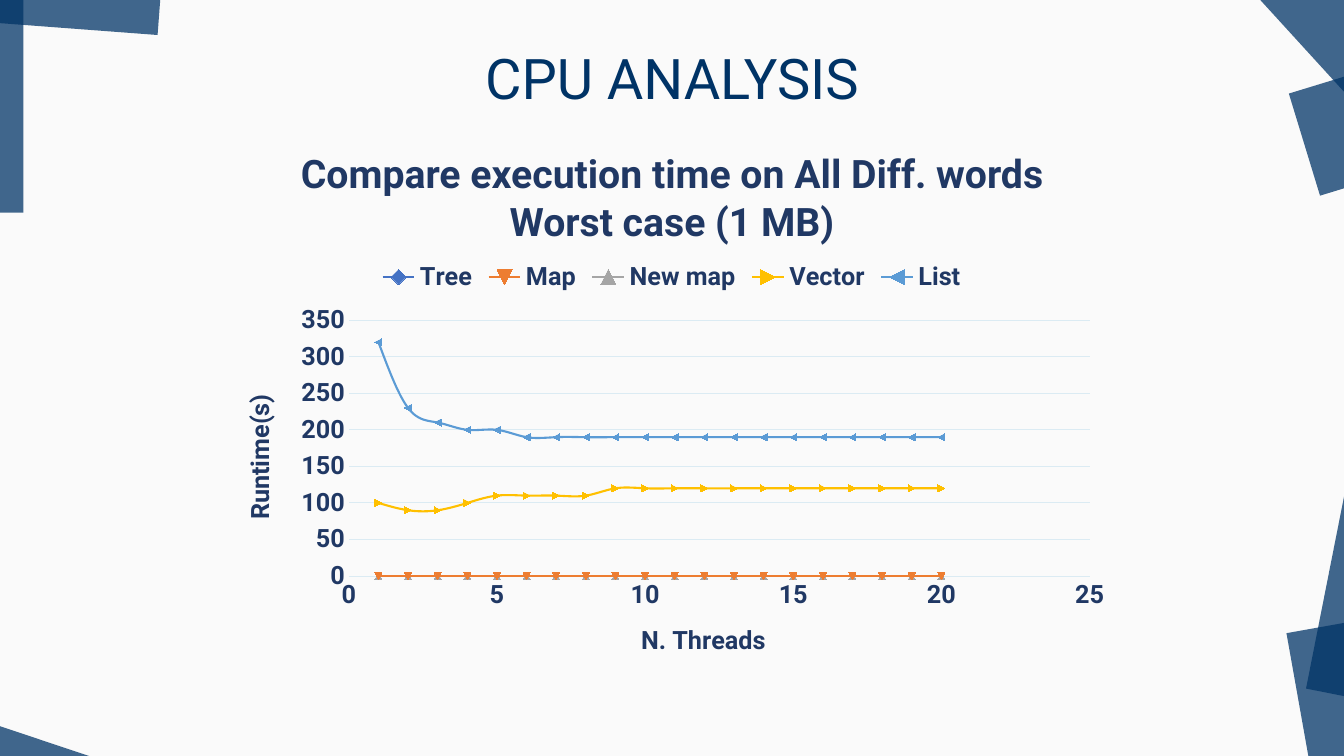
"""Build the CPU analysis slide with its runtime chart."""
from lxml.etree import SubElement
from pptx import Presentation
from pptx.chart.data import XyChartData
from pptx.dml.color import RGBColor
from pptx.enum.chart import XL_CHART_TYPE, XL_LEGEND_POSITION, XL_TICK_MARK
from pptx.enum.shapes import MSO_SHAPE
from pptx.enum.text import PP_ALIGN
from pptx.oxml.ns import qn
from pptx.util import Cm, Pt

COLOURS = {
    "paper": "FAFAFA", "navy": "003366", "ink": "203864", "grid": "DBEBF3",
    "Tree": "4472C4", "Map": "ED7D31", "New map": "A5A5A5",
    "Vector": "FFC000", "List": "5B9BD5",
}
THREADS = range(1, 21)
RUNTIMES = {
    "Tree": [(x, 0) for x in (1, 3, 7, 15, 31)],
    "Map": [(x, 0) for x in THREADS],
    "New map": [(x, 0) for x in THREADS],
    "Vector": list(zip(THREADS, [100, 90, 90, 100] + [110] * 4 + [120] * 12)),
    "List": list(zip(THREADS, [320, 230, 210, 200, 200] + [190] * 15)),
}
TILES = [
    (-1.98, -0.61, 2.57, 5.97, 0),
    (-0.61, -4.06, 3.56, 5.89, 274.3),
    (33.43, 12.07, 6.5, 5.97, 11.2),
    (32.87, 15.39, 5.94, 5.64, 349.9),
    (30.3, -2.82, 6.86, 4.01, 47.6),
    (32.74, 1.4, 6.15, 2.69, 343),
    (-1.37, 16.64, 2.57, 5.97, 288.5),
]
CHART_WIDTH, CHART_HEIGHT = 22.73, 10.82


def colour(name):
    """Return the named colour."""
    return RGBColor.from_string(COLOURS[name])


class SlideBuilder:
    """Hold the style and the current slide."""

    font_name = "Roboto"

    def __init__(self, page):
        """Start on a page and paint its background."""
        self.page = page
        page.background.fill.solid()
        page.background.fill.fore_color.rgb = colour("paper")

    def style(self, font, size, name, bold=False):
        """Apply the house font."""
        font.name = self.font_name
        font.size = Pt(size)
        font.bold = bold
        font.color.rgb = colour(name)

    def tile(self, left, top, width, height, rotation):
        """Add a translucent corner rectangle."""
        shape = self.page.shapes.add_shape(
            MSO_SHAPE.RECTANGLE, Cm(left), Cm(top), Cm(width), Cm(height))
        shape.rotation = rotation
        shape.shadow.inherit = False
        shape.line.fill.background()
        shape.fill.solid()
        shape.fill.fore_color.rgb = colour("navy")
        tint = shape.fill._xPr.find(qn("a:solidFill"))[0]
        SubElement(tint, qn("a:alpha"), val="74000")

    def heading(self, lines, top, height, size, name, bold=False):
        """Add a centred heading of one or more lines."""
        box = self.page.shapes.add_textbox(Cm(5.95), Cm(top), Cm(21.97), Cm(height))
        box.text_frame.word_wrap = True
        para = box.text_frame.paragraphs[0]
        para.alignment = PP_ALIGN.CENTER
        for number, line in enumerate(lines):
            if number:
                para.add_line_break()
            span = para.add_run()
            span.text = line
            self.style(span.font, size, name, bold)

    def place(self, element, left, top, width=None, height=None):
        """Fix a chart part at centimetres from the chart's corner."""
        for old in element.findall(qn("c:layout")):
            element.remove(old)
        layout = SubElement(element, qn("c:layout"))
        text = element.find(qn("c:tx"))
        element.insert(0 if text is None else 1, layout)
        manual = SubElement(layout, qn("c:manualLayout"))
        values = {"xMode": "edge", "yMode": "edge",
                  "x": left / CHART_WIDTH, "y": top / CHART_HEIGHT}
        if width:
            values = {"layoutTarget": "inner", **values,
                      "w": width / CHART_WIDTH, "h": height / CHART_HEIGHT}
        for tag, value in values.items():
            SubElement(manual, qn(f"c:{tag}"), val=str(value))

    def axis(self, axis, title, maximum, step, left, top):
        """Scale, title and style one axis."""
        axis.minimum_scale, axis.maximum_scale, axis.major_unit = 0, maximum, step
        axis.major_tick_mark = axis.minor_tick_mark = XL_TICK_MARK.NONE
        self.style(axis.tick_labels.font, 18, "ink", True)
        span = axis.axis_title.text_frame.paragraphs[0].add_run()
        span.text = title
        self.style(span.font, 18, "ink", True)
        self.place(axis.axis_title._element, left, top)

    def rule(self, line):
        """Draw a thin pale line."""
        line.color.rgb = colour("grid")
        line.width = Pt(0.75)

    def scatter(self, runtimes, left, top):
        """Add the smooth scatter chart."""
        data = XyChartData()
        for name, points in runtimes.items():
            series = data.add_series(name)
            for x, y in points:
                series.add_data_point(x, y)
        chart = self.page.shapes.add_chart(
            XL_CHART_TYPE.XY_SCATTER_SMOOTH, Cm(left), Cm(top),
            Cm(CHART_WIDTH), Cm(CHART_HEIGHT), data).chart
        self.style(chart.font, 18, "ink", True)
        chart.has_title = False
        chart.has_legend = True
        chart.legend.position = XL_LEGEND_POSITION.TOP
        chart.legend.include_in_layout = False
        self.style(chart.legend.font, 18, "ink", True)
        plot = chart.plots[0]
        plot.vary_by_categories = False
        for series in plot.series:
            tint = colour(series.name)
            series._element.get_or_add_smooth().val = True
            series.format.line.color.rgb = tint
            series.format.line.width = Pt(1.5)
            series.marker.size = 5
            series.marker.format.fill.solid()
            series.marker.format.fill.fore_color.rgb = tint
            series.marker.format.line.color.rgb = tint
        threads, runtime = chart.category_axis, chart.value_axis
        self.axis(threads, "N. Threads", 25, 5, 10.48, 9.29)
        self.axis(runtime, "Runtime(s)", 350, 50, 0.45, 3.52)
        threads.has_major_gridlines = False
        self.rule(threads.format.line)
        self.rule(runtime.major_gridlines.format.line)
        runtime.format.line.fill.background()
        self.place(chart._chartSpace.chart.plotArea, 3.23, 1.77, 18.67, 6.45)


def main():
    """Build and save the deck."""
    deck = Presentation()
    deck.slide_width, deck.slide_height = Cm(33.87), Cm(19.05)
    builder = SlideBuilder(deck.slides.add_slide(deck.slide_layouts[6]))
    for tile in TILES[:-1]:
        builder.tile(*tile)
    builder.heading(["CPU ANALYSIS"], 0.97, 1.96, 40, "navy")
    builder.tile(*TILES[-1])
    builder.heading(
        ["Compare execution time on All Diff. words", "Worst case (1 MB)"],
        3.65, 2.64, 28, "ink", True)
    builder.scatter(RUNTIMES, 5.56, 6.3)
    deck.save("out.pptx")


if __name__ == "__main__":
    main()
